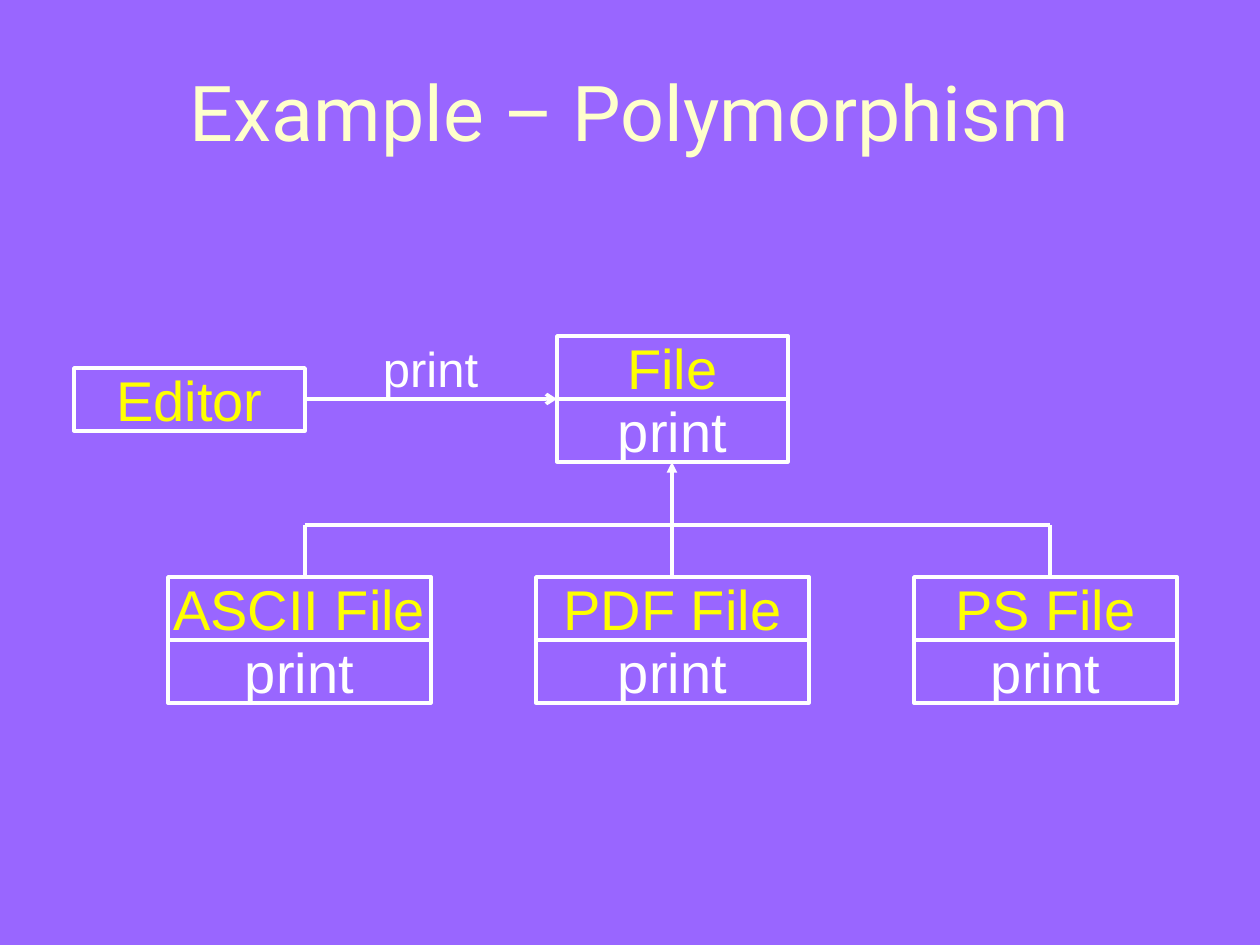
from collections import namedtuple

from lxml.etree import SubElement
from pptx import Presentation
from pptx.dml.color import RGBColor
from pptx.enum.shapes import MSO_CONNECTOR as Connector, MSO_SHAPE as Shape
from pptx.enum.text import MSO_ANCHOR as Anchor, PP_ALIGN as Align
from pptx.oxml.ns import qn
from pptx.util import Emu, Pt

SCALE = 914400 / 126
BACKGROUND = "9966FF"
CREAM = "FFFFCC"
YELLOW = "FFFF00"
WHITE = "FFFFFF"
ROW = 63

Box = namedtuple("Box", "left top width height")


def px(length):
    return Emu(round(length * SCALE))


def color(value):
    return RGBColor.from_string(value)


def format_text(frame, text, size, font, ink, wrap):
    frame.text = text
    frame.word_wrap = wrap
    frame.vertical_anchor = Anchor.MIDDLE
    paragraph = frame.paragraphs[0]
    paragraph.alignment = Align.CENTER
    run_font = paragraph.runs[0].font
    run_font.size = Pt(size)
    run_font.name = font
    run_font.color.rgb = color(ink)


def add_title(slide, box, text):
    title = slide.shapes.title
    title.left, title.top, title.width, title.height = map(px, box)
    format_text(title.text_frame, text, 44, "Roboto", CREAM, True)


def add_line(slide, start, end, head=None):
    line = slide.shapes.add_connector(Connector.STRAIGHT, *map(px, start + end))
    line.line.color.rgb = color(WHITE)
    line.line.width = Pt(2)
    properties = line._element.spPr
    if head:
        SubElement(properties.find(qn("a:ln")), qn("a:tailEnd"), type=head)
    SubElement(properties, qn("a:effectLst"))


def add_cell(slide, box, text, ink):
    cell = slide.shapes.add_shape(Shape.RECTANGLE, *map(px, box))
    cell.shadow.inherit = False
    cell.fill.background()
    cell.line.color.rgb = color(WHITE)
    cell.line.width = Pt(2)
    format_text(cell.text_frame, text, 32, "Arial", ink, False)


def add_class(slide, box, name, methods=()):
    rows = [(name, YELLOW)] + [(method, WHITE) for method in methods]
    height = box.height / len(rows)
    for index, (text, ink) in enumerate(rows):
        row = box._replace(top=box.top + index * height, height=height)
        add_cell(slide, row, text, ink)


def add_call(slide, box, message):
    label = slide.shapes.add_textbox(
        *map(px, (box.left + 10, box.top, box.width - 21, box.height)))
    format_text(label.text_frame, message, 28, "Arial", WHITE, False)
    bottom = box.top + box.height
    add_line(slide, (box.left, bottom), (box.left + box.width, bottom), "arrow")


def add_inheritance(slide, box, bus_drop):
    center = box.left + box.width * 367 // 745
    right = box.left + box.width
    bus = box.top + bus_drop
    add_line(slide, (center, bus), (center, box.top), "triangle")
    add_line(slide, (box.left, bus), (right, bus))
    for stem in (box.left, center, right):
        add_line(slide, (stem, bus), (stem, box.top + box.height))


def add_class_diagram(slide, box):
    left, top = box.left, box.top
    add_class(slide, Box(left, top + 32, 231, ROW), "Editor")
    add_call(slide, Box(left + 231, top, 252, ROW), "print")
    add_class(slide, Box(left + 483, top, 231, 2 * ROW), "File", ["print"])
    add_inheritance(slide, Box(left + 231, top + 126, 745, 115), ROW)
    subclasses = [("ASCII File", 94, 263), ("PDF File", 462, 273), ("PS File", 840, 263)]
    for name, offset, width in subclasses:
        subclass = Box(left + offset, top + 241, width, 2 * ROW)
        add_class(slide, subclass, name, ["print"])


def main():
    deck = Presentation()
    deck.slide_width, deck.slide_height = px(1260), px(945)
    slide = deck.slides.add_slide(deck.slide_layouts[5])
    fill = slide.background.fill
    fill.solid()
    fill.fore_color.rgb = color(BACKGROUND)
    add_title(slide, Box(42, 32, 1176, 157), "Example – Polymorphism")
    add_class_diagram(slide, Box(74, 336, 1103, 367))
    deck.save("out.pptx")


if __name__ == "__main__":
    main()
